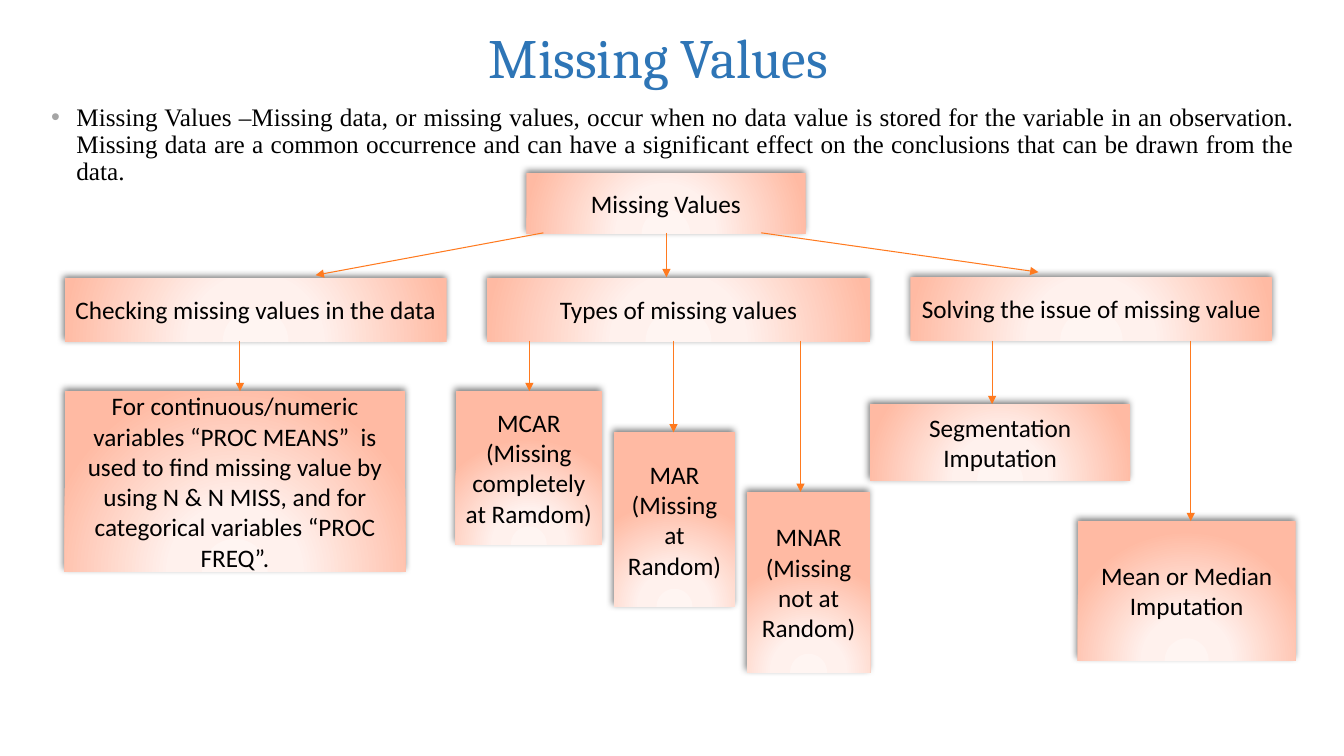
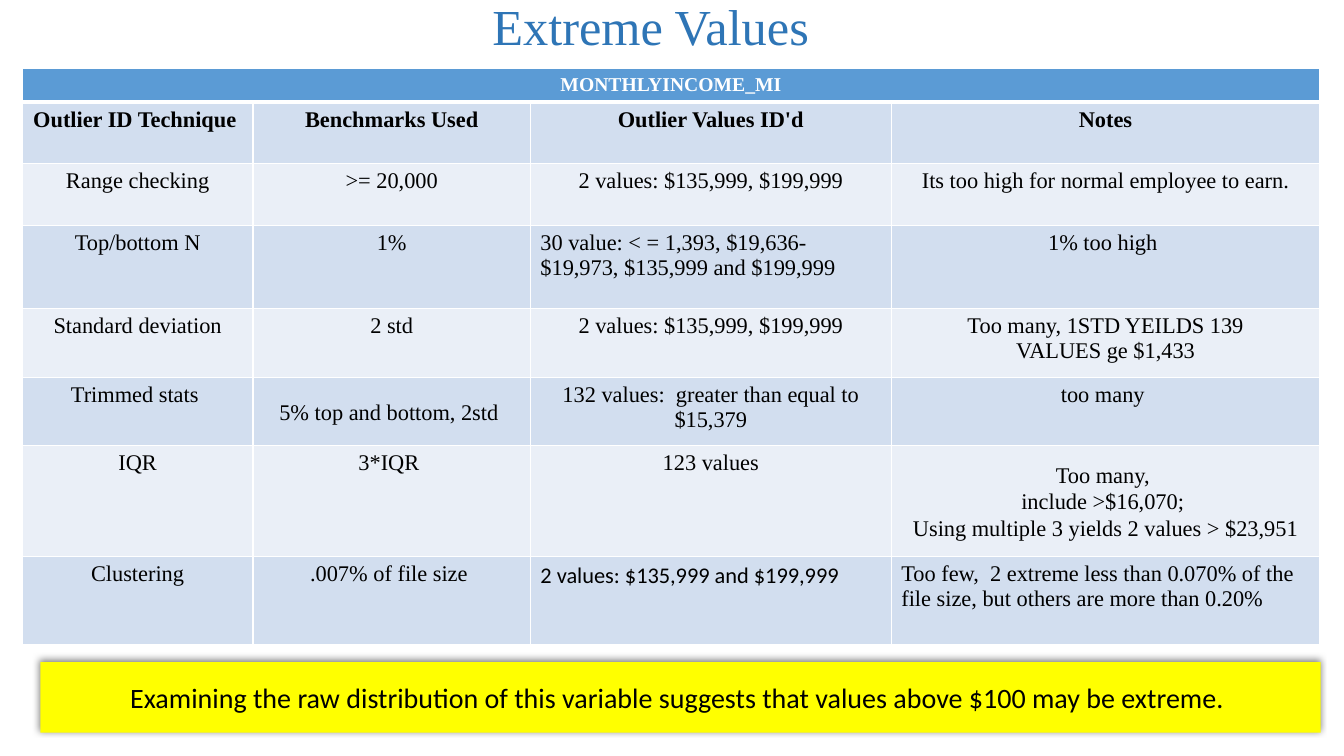
"""Build two slides on missing and extreme values."""
from dataclasses import dataclass

from pptx import Presentation
from pptx import util as u
from pptx.dml.color import RGBColor
from pptx.enum import shapes, text
from pptx.oxml import parse_xml
from pptx.oxml.ns import nsdecls, qn

CENTER, LEFT, JUSTIFY = text.PP_ALIGN.CENTER, text.PP_ALIGN.LEFT, text.PP_ALIGN.JUSTIFY
MIDDLE, TOP = text.MSO_ANCHOR.MIDDLE, text.MSO_ANCHOR.TOP


@dataclass(frozen=True)
class Theme:
    """Colours, fonts and type sizes of the slides."""
    title: str = "2E75B6"
    ink: str = "000000"
    white: str = "FFFFFF"
    bullet: str = "A5A5A5"
    arrow: str = "FF7A1F"
    header: str = "5B9BD5"
    bands: tuple = ("D2DEEF", "EAEFF7")
    note: str = "FFFF00"
    glow: tuple = ((0, "FFF5F2"), (34, "FFF1ED"), (100, "FFBAA3"))
    sans: str = "Calibri"
    serif: str = "Times New Roman"
    heading: str = "Cambria"
    body_size: float = 18
    note_size: float = 20
    cell_size: float = 16
    header_size: float = 14


T = Theme()

ROOT = ("Missing Values", 4.58, 0, 2.77, 0.6)
BRANCHES = [
    ("Checking missing values in the data", 0, 1.04, 3.79, 0.63),
    ("Types of missing values", 4.19, 1.04, 3.8, 0.63),
    ("Solving the issue of missing value ", 8.39, 1.03, 3.59, 0.63),
]
BRANCH_ARROWS = [(4.75, 2.49, 1.01), (5.97, 5.97, 1.03), (6.91, 9.66, 0.98)]
LEAVES = [
    ("For continuous/numeric variables “PROC MEANS”  is used to find missing value "
     "by using N & N MISS, and for categorical variables “PROC FREQ”.",
     0, 2.16, 3.38, 1.79),
    ("MCAR (Missing completely at Ramdom)", 3.88, 2.16, 1.45, 1.52),
    ("MAR (Missing at Random)", 5.45, 2.57, 1.2, 1.73),
    ("MNAR\n(Missing not at Random)", 6.77, 3.16, 1.22, 1.79),
    ("Segmentation Imputation", 7.99, 2.29, 2.58, 0.76),
    ("Mean or Median Imputation", 10.05, 3.45, 2.16, 1.38),
]
LEAF_ARROWS = [1.74, 4.61, 6.04, 7.3, 9.2, 11.17]

DEFINITION = (
    "Missing Values –Missing data, or missing values, occur when no data value is stored "
    "for the variable in an observation. Missing data are a common occurrence and can have "
    "a significant effect on the conclusions that can be drawn from the data. ")

COLUMNS = [2.29, 2.75, 3.58, 4.25]
ROWS = [
    (0.32, ["MONTHLYINCOME_MI", "", "", ""]),
    (0.61, ["Outlier ID Technique ", "Benchmarks Used", "Outlier Values ID'd", "Notes"]),
    (0.61, ["Range checking", ">= 20,000", "2 values: $135,999, $199,999",
            "Its too high for normal employee to earn."]),
    (0.83, ["Top/bottom N", "1%",
            "30 value: < = 1,393, $19,636-$19,973, $135,999 and $199,999", "1% too high "]),
    (0.68, ["Standard deviation", "2 std", "2 values: $135,999, $199,999",
            "Too many, 1STD YEILDS 139\nVALUES ge $1,433"]),
    (0.68, ["Trimmed stats ", "5% top and bottom, 2std ",
            "132 values:  greater than equal to $15,379", "too many "]),
    (1.1, ["IQR", "3*IQR ", "123 values",
           "Too many, \ninclude >$16,070; \nUsing multiple 3 yields 2 values > $23,951"]),
    (0.87, ["Clustering", ".007% of file size ", "2 values: $135,999 and $199,999",
            "Too few,  2 extreme less than 0.070% of the file size, "
            "but others are more than 0.20%"]),
]
LEFT_CELLS = {(3, 2), (7, 2), (7, 3)}
SANS_CELLS = {(7, 2)}
CENTRED_CELLS = {(5, 1): 0.03, (6, 3): 0}


def rgb(value):
    """Turn a hex string into a colour."""
    return RGBColor.from_string(value)


def inches(*values):
    """Turn numbers into lengths."""
    return [u.Inches(v) for v in values]


def write(tf, words, size, font, color=T.ink, align=CENTER, bold=False, spacing=None):
    """Fill a text frame, one paragraph for each line of words."""
    for i, line in enumerate(words.split("\n")):
        p = tf.add_paragraph() if i else tf.paragraphs[0]
        p.alignment = align
        if spacing:
            p.line_spacing = spacing
        r = p.add_run()
        r.text = line
        r.font.size, r.font.name, r.font.bold = u.Pt(size), font, bold
        r.font.color.rgb = rgb(color)


def add_text(s, box, words, size, font, anchor=MIDDLE, **style):
    """Add a wrapping text box and return its frame."""
    tf = s.shapes.add_textbox(*inches(*box)).text_frame
    tf.word_wrap, tf.vertical_anchor = True, anchor
    write(tf, words, size, font, spacing=0.9, **style)
    return tf


def add_title(s, box, words, size, font):
    """Add the blue centred title."""
    add_text(s, box, words, size, font, color=T.title)


def add_definition(s, box):
    """Add the justified bullet paragraph."""
    tf = add_text(s, box, DEFINITION, T.body_size, T.serif, TOP, align=JUSTIFY)
    p = tf.paragraphs[0]
    p.space_before = u.Pt(5.4)
    pPr = p._p.get_or_add_pPr()
    pPr.set("marL", str(u.Inches(0.25)))
    pPr.set("indent", str(-u.Inches(0.25)))
    for xml in (f'<a:buClr {nsdecls("a")}><a:srgbClr val="{T.bullet}"/></a:buClr>',
                f'<a:buFont {nsdecls("a")} typeface="Arial"/>',
                f'<a:buChar {nsdecls("a")} char="•"/>'):
        pPr.append(parse_xml(xml))


def add_panel(s, box, words, size, fill=None):
    """Add a shadowed rectangle, with the glow gradient unless a fill is given."""
    sp = s.shapes.add_shape(shapes.MSO_SHAPE.RECTANGLE, *inches(*box))
    sp.line.fill.background()
    sp.shadow.inherit = False
    spPr = sp._element.spPr
    spPr.find(qn("a:effectLst")).append(parse_xml(
        f'<a:outerShdw {nsdecls("a")} blurRad="{u.Pt(5)}" dist="{u.Pt(2)}" dir="14700000" '
        'algn="ctr" rotWithShape="0"><a:srgbClr val="000000"><a:alpha val="50000"/>'
        '</a:srgbClr></a:outerShdw>'))
    if fill:
        sp.fill.solid()
        sp.fill.fore_color.rgb = rgb(fill)
    else:
        sp.fill.background()
        stops = "".join(f'<a:gs pos="{at * 1000}"><a:srgbClr val="{c}"/></a:gs>'
                        for at, c in T.glow)
        spPr.replace(spPr.find(qn("a:noFill")), parse_xml(
            f'<a:gradFill {nsdecls("a")} rotWithShape="1"><a:gsLst>{stops}</a:gsLst>'
            '<a:path path="circle"><a:fillToRect l="50000" t="155000" r="50000" '
            'b="-55000"/></a:path></a:gradFill>'))
    tf = sp.text_frame
    tf.word_wrap, tf.vertical_anchor = True, MIDDLE
    write(tf, words, size, T.sans)


def add_arrow(s, x1, y1, x2, y2):
    """Add an orange arrow from one point to another."""
    line = s.shapes.add_connector(shapes.MSO_CONNECTOR.STRAIGHT, *inches(x1, y1, x2, y2))
    line.line.color.rgb, line.line.width = rgb(T.arrow), u.Pt(0.75)
    line.line._get_or_add_ln().append(
        parse_xml(f'<a:tailEnd {nsdecls("a")} type="triangle"/>'))
    line._element.spPr.append(parse_xml(f'<a:effectLst {nsdecls("a")}/>'))


def add_tree(s, left, top):
    """Add the tree of boxes and arrows from its top left corner."""
    for words, x, y, w, h in [ROOT, *BRANCHES, *LEAVES]:
        add_panel(s, (left + x, top + y, w, h), words, T.body_size)
    for x1, x2, y2 in BRANCH_ARROWS:
        add_arrow(s, left + x1, top + 0.59, left + x2, top + y2)
    for x, leaf in zip(LEAF_ARROWS, LEAVES):
        add_arrow(s, left + x, top + 1.66, left + x, top + leaf[2])


def style_cell(cell, fill, top=1, bottom=1):
    """Fill a cell and give it white borders."""
    cell.fill.solid()
    cell.fill.fore_color.rgb = rgb(fill)
    tcPr = cell._tc.get_or_add_tcPr()
    for i, (side, width) in enumerate(zip("LRTB", (1, 1, top, bottom))):
        tcPr.insert(i, parse_xml(
            f'<a:ln{side} {nsdecls("a")} w="{u.Pt(width)}"><a:solidFill>'
            f'<a:srgbClr val="{T.white}"/></a:solidFill></a:ln{side}>'))


def add_outliers(s, left, top):
    """Add the table of outlier techniques from its top left corner."""
    heights = [h for h, _ in ROWS]
    table = s.shapes.add_table(len(ROWS), len(COLUMNS), *inches(
        left, top, sum(COLUMNS), sum(heights))).table
    table.first_row = table.horz_banding = False
    for column, width in zip(table.columns, COLUMNS):
        column.width = u.Inches(width)
    for i, (height, words) in enumerate(ROWS):
        table.rows[i].height = u.Inches(height)
        for j, label in enumerate(words):
            cell = table.cell(i, j)
            style_cell(cell, T.bands[(i - 1) % 2] if i else T.header,
                       top=3 if i == 1 else 1, bottom=1 if i else 3)
            spacing = None
            if (i, j) in CENTRED_CELLS:
                spacing, cell.vertical_anchor = 1.07, MIDDLE
                cell.margin_top = cell.margin_bottom = 0
                cell.margin_left = cell.margin_right = u.Inches(CENTRED_CELLS[i, j])
            if label:
                write(cell.text_frame, label, T.cell_size if i else T.header_size,
                      T.sans if (i, j) in SANS_CELLS else T.serif,
                      T.ink if i else T.white,
                      LEFT if (i, j) in LEFT_CELLS else CENTER, i < 2, spacing)
    table.cell(0, 0).merge(table.cell(0, len(COLUMNS) - 1))


def missing_values(s):
    """Build the slide on missing values."""
    add_title(s, (0.64, 0.21, 11.78, 0.78), "Missing Values", 39.6, T.heading)
    add_definition(s, (0.41, 0.99, 12.53, 0.9))
    add_tree(s, 0.64, 1.72)


def extreme_values(s):
    """Build the slide on extreme values."""
    add_title(s, (0.49, 0.07, 11.93, 0.44), "Extreme Values", 36, T.serif)
    add_outliers(s, 0.22, 0.68)
    add_panel(s, (0.4, 6.57, 12.7, 0.7),
              "Examining the raw distribution of this variable suggests that values "
              "above $100 may be extreme. ", T.note_size, T.note)


def main():
    """Build and save the presentation."""
    prs = Presentation()
    prs.slide_width, prs.slide_height = inches(13.33, 7.5)
    for build in (missing_values, extreme_values):
        build(prs.slides.add_slide(prs.slide_layouts[6]))
    prs.save("out.pptx")


if __name__ == "__main__":
    main()
